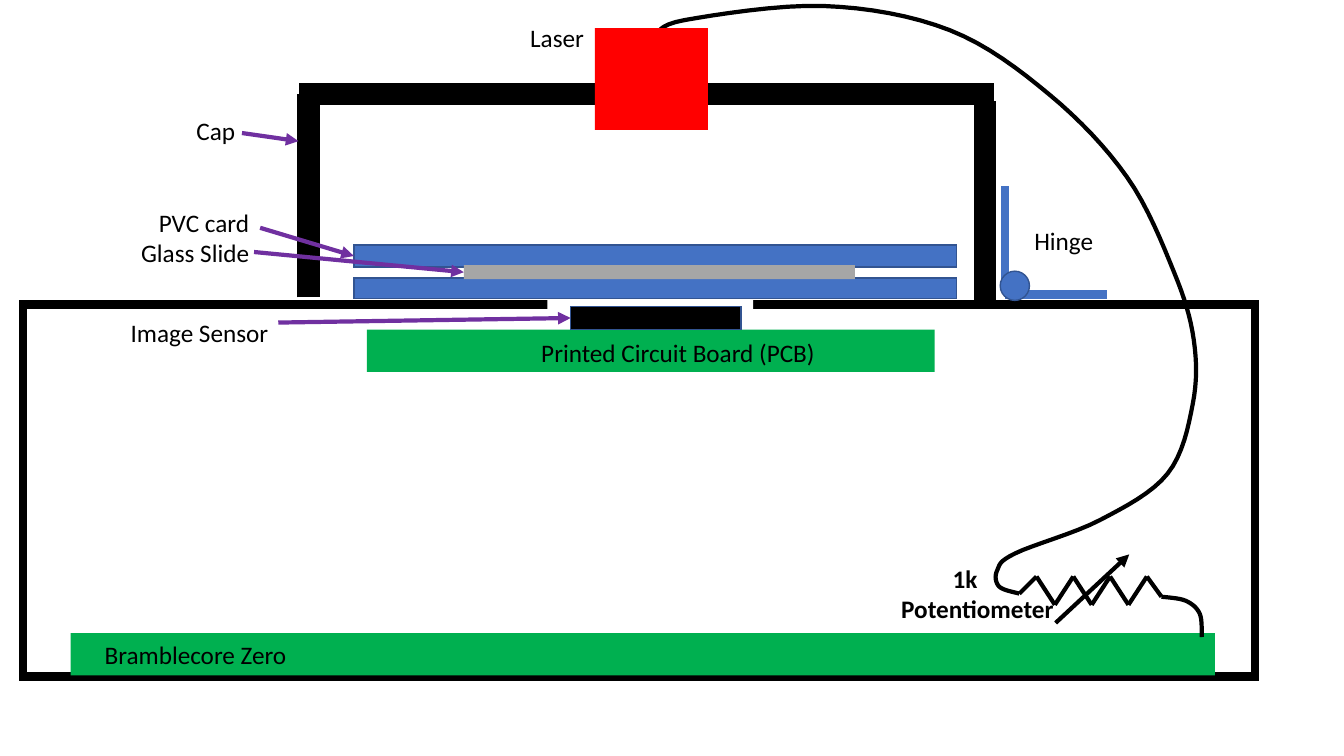
from itertools import pairwise

from lxml.etree import SubElement
from pptx import Presentation
from pptx.dml.color import RGBColor
from pptx.enum.shapes import MSO_CONNECTOR, MSO_SHAPE
from pptx.enum.text import PP_ALIGN
from pptx.oxml.ns import qn
from pptx.util import Inches, Pt

COLORS = {
    "black": "000000", "white": "FFFFFF", "green": "00B050", "red": "FF0000",
    "blue": "4472C4", "edge": "325491", "gray": "A6A6A6", "purple": "7030A0",
}
THIN, WIRE, FRAME, WALL = 1, 3, 6, 16
CURVE_STEPS = 8
BOARD_HEIGHT = 0.42
CAP_LEFT, CAP_RIGHT, CAP_TOP = 3.06, 9.77, 0.93
HINGE_X, HINGE_Y, PIN_SIZE = 9.97, 2.92, 0.29
CARD_LEFT, CARD_WIDTH = 3.51, 5.98
RESISTOR_START, RESISTOR_END = (10.11, 5.89), (11.52, 5.92)
PEAK_X, PEAK_Y, VALLEY_Y, TOOTH_WIDTH, TEETH = 10.28, 5.72, 6, 0.365, 3
CABLE_BENDS = [
    (6.49, 0.36), (6.79, 0.2), (8.17, 0.06), (9.42, 0.3), (10.41, 0.94),
    (11.18, 1.76), (11.64, 2.69), (11.84, 3.37), (11.83, 4.01), (11.58, 4.7),
    (10.91, 5.16), (10.07, 5.49), (9.89, 5.66), (9.91, 5.82), RESISTOR_START,
]
SUPPLY_BENDS = [RESISTOR_END, (11.76, 5.96), (11.9, 6.09), (11.92, 6.32)]


def color(name):
    """Return a named colour."""
    return RGBColor.from_string(COLORS[name])


def style(shape, fill=None, line=None, width=THIN):
    """Set the fill and outline of a shape and drop its shadow."""
    shape.shadow.inherit = False
    if fill:
        shape.fill.solid()
        shape.fill.fore_color.rgb = color(fill)
    else:
        shape.fill.background()
    if line:
        shape.line.color.rgb = color(line)
        shape.line.width = Pt(width)
    else:
        shape.line.fill.background()


def add_block(slide, box, fill=None, line=None, width=THIN, kind=MSO_SHAPE.RECTANGLE):
    """Add a preset shape at left, top, width, height, with sharp corners."""
    shape = slide.shapes.add_shape(kind, *map(Inches, box))
    style(shape, fill, line, width)
    if line:
        SubElement(shape.line._get_or_add_ln(), qn("a:miter"), lim="800000")
    return shape


def add_line(slide, start, end, line="black", width=WIRE):
    """Add a straight line and return it."""
    connector = slide.shapes.add_connector(MSO_CONNECTOR.STRAIGHT, *map(Inches, (*start, *end)))
    connector.line.color.rgb = color(line)
    connector.line.width = Pt(width)
    SubElement(connector._element.spPr, qn("a:effectLst"))
    return connector


def add_arrow(slide, start, end, line="black"):
    """Add a line with an arrowhead at its end and return it."""
    arrow = add_line(slide, start, end, line)
    SubElement(arrow.line._get_or_add_ln(), qn("a:tailEnd"), type="triangle")
    return arrow


def add_pointer(slide, start, target):
    """Point a purple arrow at the middle of the target's left side."""
    end = (target.left.inches, (target.top + target.height / 2) / Inches(1))
    add_arrow(slide, start, end, "purple").end_connect(target, 1)


def spline(before, start, end, after, t):
    """Return one coordinate of a Catmull-Rom curve between start and end."""
    return start + t / 2 * (end - before
                            + t * (2 * before - 5 * start + 4 * end - after)
                            + t * t * (3 * (start - end) + after - before))


def smooth(bends):
    """Return points on a smooth curve through the bends."""
    padded = [bends[0], *bends, bends[-1]]
    curve = [tuple(spline(*axis, step / CURVE_STEPS) for axis in zip(*window))
             for window in zip(padded, padded[1:], padded[2:], padded[3:])
             for step in range(CURVE_STEPS)]
    return [*curve, bends[-1]]


def add_wire(slide, bends):
    """Add an open wire that curves through the bends."""
    start, *rest = [tuple(map(Inches, point)) for point in smooth(bends)]
    builder = slide.shapes.build_freeform(*start)
    builder.add_line_segments(rest, close=False)
    style(builder.convert_to_shape(), line="black", width=WIRE)


def add_label(slide, box, lines, align=PP_ALIGN.LEFT, bold=False, wrap=False):
    """Add a text box with one paragraph per line and return its paragraphs."""
    frame = slide.shapes.add_textbox(*map(Inches, box)).text_frame
    frame.word_wrap = wrap
    frame.text = "\n".join(lines)
    for paragraph in frame.paragraphs:
        paragraph.alignment = align
        for name, value in {"name": "Calibri", "size": Pt(18), "bold": bold}.items():
            setattr(paragraph.font, name, value)
        paragraph.font.color.rgb = color("black")
    return frame.paragraphs


def add_cap(slide):
    """Draw the two walls and the roof of the cap."""
    overhang = 0.09
    add_line(slide, (CAP_LEFT, 2.95), (CAP_LEFT, CAP_TOP), width=WALL)
    add_line(slide, (CAP_RIGHT, 3.02), (CAP_RIGHT, 1), width=WALL)
    add_line(slide, (CAP_LEFT - overhang, CAP_TOP), (CAP_RIGHT + overhang, CAP_TOP), width=WALL)


def add_housing(slide):
    """Draw the circuit boards and the box with its opening, under the cap."""
    add_block(slide, (3.64, 3.27, 5.63, BOARD_HEIGHT), "green")
    add_block(slide, (0.23, 3.02, 12.22, 3.69), line="black", width=FRAME)
    add_cap(slide)
    add_block(slide, (5.43, 2.9, 2.04, 0.31), "white")
    add_block(slide, (0.7, 6.28, 11.35, BOARD_HEIGHT), "green")


def add_laser(slide):
    """Draw the laser over the ends of its wiring."""
    for bends in (CABLE_BENDS, SUPPLY_BENDS):
        add_wire(slide, bends)
    add_block(slide, (5.9, 0.28, 1.12, 1.01), "red")


def add_hinge(slide):
    """Draw the hinge leaves and pin."""
    add_line(slide, (HINGE_X, 1.85), (HINGE_X, 2.88), "blue", FRAME)
    add_line(slide, (10.98, HINGE_Y), (HINGE_X, HINGE_Y), "blue", FRAME)
    add_block(slide, (9.92, 2.69, PIN_SIZE, PIN_SIZE), "blue", "edge", kind=MSO_SHAPE.OVAL)


def add_sample_stack(slide):
    """Draw the cards, glass slide and sensor with their pointers."""
    upper_card, _ = [add_block(slide, (CARD_LEFT, top, CARD_WIDTH, height), "blue", "edge")
                     for top, height in ((2.43, 0.22), (2.76, 0.2))]
    glass = add_block(slide, (4.6, 2.63, 3.88, 0.14), "gray")
    sensor = add_block(slide, (5.66, 3.04, 1.69, 0.23), "black", "edge")
    add_pointer(slide, (2.58, 2.26), upper_card)
    add_pointer(slide, (2.52, 2.5), glass)
    add_pointer(slide, (2.76, 3.2), sensor)
    add_arrow(slide, (2.4, 1.32), (2.96, 1.4), "purple")


def add_labels(slide):
    """Write the part names."""
    for box, lines, align in (
        ((1.28, 2.01, 1.29, 0.71), ["PVC card", "Glass Slide"], PP_ALIGN.RIGHT),
        ((1.18, 3.1, 1.58, 0.4), ["Image Sensor"], PP_ALIGN.RIGHT),
        ((0.94, 6.29, 2, 0.4), ["Bramblecore Zero"], PP_ALIGN.RIGHT),
        ((1.85, 1.09, 0.78, 0.4), ["Cap"], PP_ALIGN.LEFT),
        ((10.16, 2.19, 0.79, 0.4), ["Hinge"], PP_ALIGN.LEFT),
        ((5.16, 0.17, 0.74, 0.4), ["Laser"], PP_ALIGN.LEFT),
    ):
        add_label(slide, box, lines, align)
    add_label(slide, (4.97, 3.3, 3.51, 0.4), ["Printed Circuit Board (PCB)"],
              PP_ALIGN.CENTER, wrap=True)
    resistance, _ = add_label(slide, (8.84, 5.54, 2.12, 0.71), ["1k", "Potentiometer"],
                              bold=True, wrap=True)
    resistance._p.get_or_add_pPr().set("marL", str(Inches(0.51)))


def add_potentiometer(slide):
    """Draw the zigzag resistor and its wiper arrow."""
    zigzag = [(PEAK_X + TOOTH_WIDTH * half / 2, VALLEY_Y if half % 2 else PEAK_Y)
              for half in range(2 * TEETH + 1)]
    for start, end in pairwise([RESISTOR_START, *zigzag, RESISTOR_END]):
        add_line(slide, start, end)
    add_arrow(slide, (10.47, 6.18), (11.2, 5.5))


def main():
    """Build and save the slide."""
    presentation = Presentation()
    presentation.slide_width = Inches(13.33)
    presentation.slide_height = Inches(7.5)
    slide = presentation.slides.add_slide(presentation.slide_layouts[6])
    for add_part in (add_housing, add_laser, add_hinge, add_sample_stack,
                     add_labels, add_potentiometer):
        add_part(slide)
    presentation.save("out.pptx")


if __name__ == "__main__":
    main()
